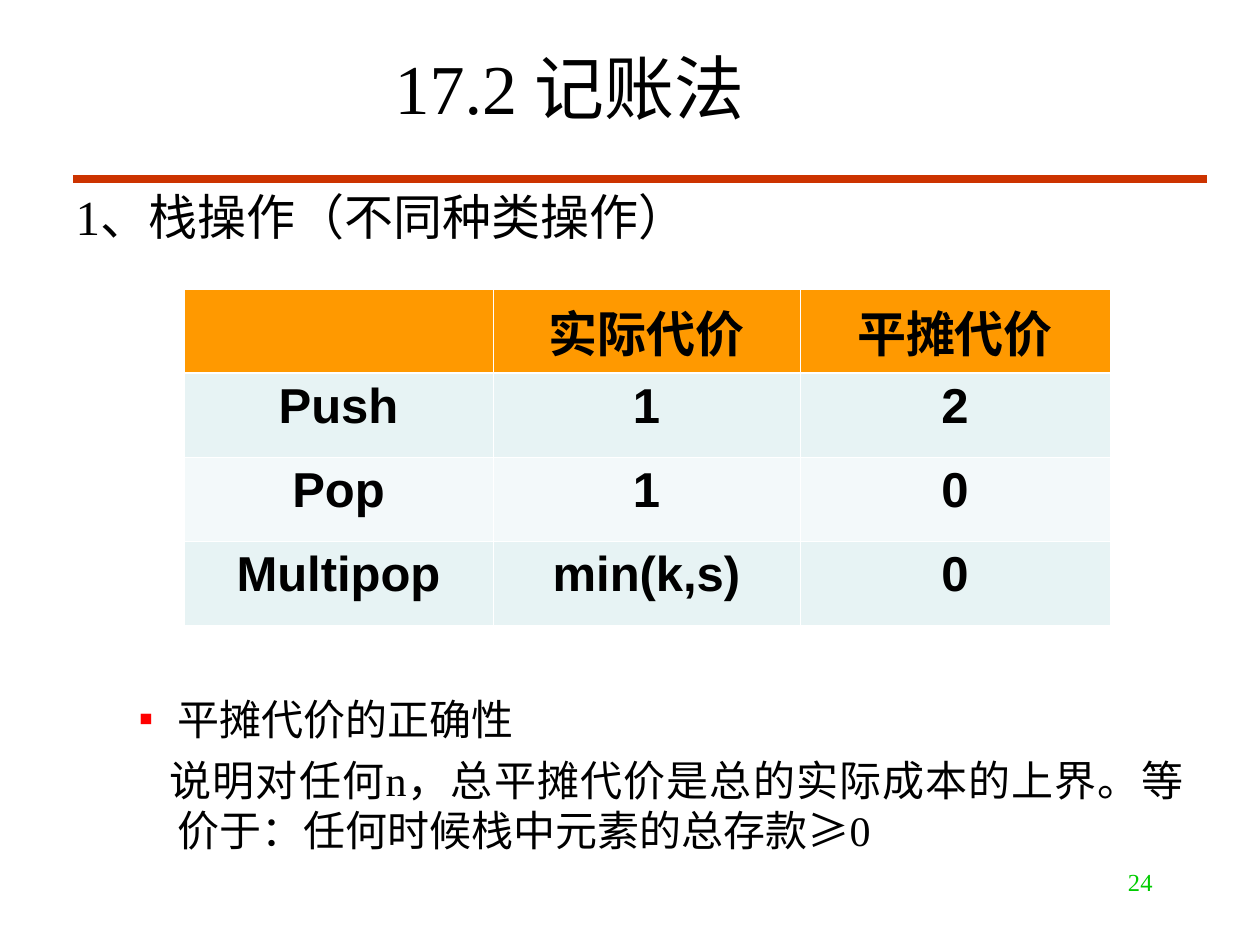
from dataclasses import dataclass

from lxml import etree
from pptx import Presentation
from pptx.dml.color import RGBColor
from pptx.enum.shapes import MSO_CONNECTOR
from pptx.enum.text import MSO_ANCHOR, MSO_AUTO_SIZE, PP_ALIGN
from pptx.oxml.ns import qn
from pptx.util import Pt

LEFT, CENTER, RIGHT, JUST = PP_ALIGN.LEFT, PP_ALIGN.CENTER, PP_ALIGN.RIGHT, PP_ALIGN.JUSTIFY
TOP, MIDDLE = MSO_ANCHOR.TOP, MSO_ANCHOR.MIDDLE
FIXED = MSO_AUTO_SIZE.NONE
STRAIGHT = MSO_CONNECTOR.STRAIGHT
SCALE = 914400 / 126


@dataclass(frozen=True)
class Theme:
    serif: str = "Times New Roman"
    sans: str = "Arial"
    ink: str = "000000"
    rule: str = "CC3300"
    mark: str = "FF0000"
    page: str = "00CC00"
    edge: str = "FFFFFF"
    head: str = "FF9900"
    bands: tuple = ("E7F3F4", "F3F9FA")
    title: int = 40
    large: int = 28
    body: int = 24
    small: int = 14


def emu(px):
    return round(px * SCALE)


class Deck:
    def __init__(self, theme):
        self.theme = theme
        self.prs = Presentation()
        self.prs.slide_width, self.prs.slide_height = emu(1260), emu(945)
        self.slide = self.prs.slides.add_slide(self.prs.slide_layouts[1])

    def place(self, shape, left, top, width, height, anchor=TOP):
        shape.left, shape.top = emu(left), emu(top)
        shape.width, shape.height = emu(width), emu(height)
        frame = shape.text_frame
        frame.word_wrap = True
        frame.auto_size = FIXED
        frame.vertical_anchor = anchor
        return frame

    def add_text(self, par, text, size, align=LEFT, font=None, color=None, bold=False):
        par.alignment = align
        run = par.add_run()
        run.text = text
        run.font.name = font or self.theme.serif
        run.font.size = Pt(size)
        run.font.bold = bold
        run.font.color.rgb = RGBColor.from_string(color or self.theme.ink)

    def title(self, text, *box):
        frame = self.place(self.slide.shapes.title, *box, MIDDLE)
        self.add_text(frame.paragraphs[0], text, self.theme.title, CENTER)

    def body(self, items, *box):
        """Each item: text, size, level, margin, indent, space before, align, bullet."""
        frame = self.place(self.slide.placeholders[1], *box)
        for i, (text, size, level, margin, indent, gap, align, dot) in enumerate(items):
            par = frame.add_paragraph() if i else frame.paragraphs[0]
            par.level = level
            par.space_before = Pt(gap)
            self.bullet(par, margin, indent, dot)
            self.add_text(par, text, size, align)

    def bullet(self, par, margin, indent, dot):
        props = par._p.get_or_add_pPr()
        props.set("marL", str(emu(margin)))
        props.set("indent", str(emu(indent)))
        if dot:
            color = etree.SubElement(props, qn("a:buClr"))
            etree.SubElement(color, qn("a:srgbClr"), val=self.theme.mark)
            etree.SubElement(props, qn("a:buChar"), char=dot)
        else:
            etree.SubElement(props, qn("a:buNone"))

    def note(self, text, size, align, color, *box):
        frame = self.place(self.slide.shapes.add_textbox(0, 0, 0, 0), *box)
        self.add_text(frame.paragraphs[0], text, size, align, color=color)

    def line(self, x1, y1, x2, y2, color, width):
        line = self.slide.shapes.add_connector(STRAIGHT, emu(x1), emu(y1), emu(x2), emu(y2))
        line.line.color.rgb = RGBColor.from_string(color)
        line.line.width = Pt(width)
        etree.SubElement(line._element.spPr, qn("a:effectLst"))

    def border(self, cell, side, width):
        line = etree.SubElement(cell._tc.get_or_add_tcPr(), qn(f"a:ln{side}"), w=str(Pt(width)))
        fill = etree.SubElement(line, qn("a:solidFill"))
        etree.SubElement(fill, qn("a:srgbClr"), val=self.theme.edge)

    def table(self, left, top, widths, height, rows):
        look = self.theme
        grid = self.slide.shapes.add_table(
            len(rows), len(widths), emu(left), emu(top),
            emu(sum(widths)), emu(height * len(rows))).table
        for col, width in zip(grid.columns, widths):
            col.width = emu(width)
        for r, texts in enumerate(rows):
            grid.rows[r].height = emu(height)
            for c, text in enumerate(texts):
                cell = grid.cell(r, c)
                for side in "LRTB":
                    thick = (r, side) in ((0, "B"), (1, "T"))
                    self.border(cell, side, 1.5 if thick else 0.45)
                cell.fill.solid()
                color = look.bands[(r - 1) % 2] if r else look.head
                cell.fill.fore_color.rgb = RGBColor.from_string(color)
                if text:
                    par = cell.text_frame.paragraphs[0]
                    self.add_text(par, text, look.large, CENTER, look.sans, bold=True)


def main():
    look = Theme()
    deck = Deck(look)
    deck.line(73, 179, 1207, 179, look.rule, 4.5)
    deck.title("17.2 记账法", 63, 38, 1013, 97)
    deck.body([
        ("1、栈操作（不同种类操作）", look.large, 0, 48, -48, 0, LEFT, None),
        ("平摊代价的正确性", look.body, 1, 102, -39, 256, LEFT, "▪"),
        ("说明对任何n，总平摊代价是总的实际成本的上界。等价于：任何时候栈中元素的总存款≥0",
         look.body, 1, 102, -8, 6, JUST, None),
    ], 63, 180, 1133, 738)
    deck.note("24", look.small, RIGHT, look.page, 903, 861, 262, 63)
    deck.table(184, 289, (309, 307, 310), 84, [
        ("", "实际代价", "平摊代价"),
        ("Push", "1", "2"),
        ("Pop", "1", "0"),
        ("Multipop", "min(k,s)", "0"),
    ])
    deck.prs.save("out.pptx")


if __name__ == "__main__":
    main()
